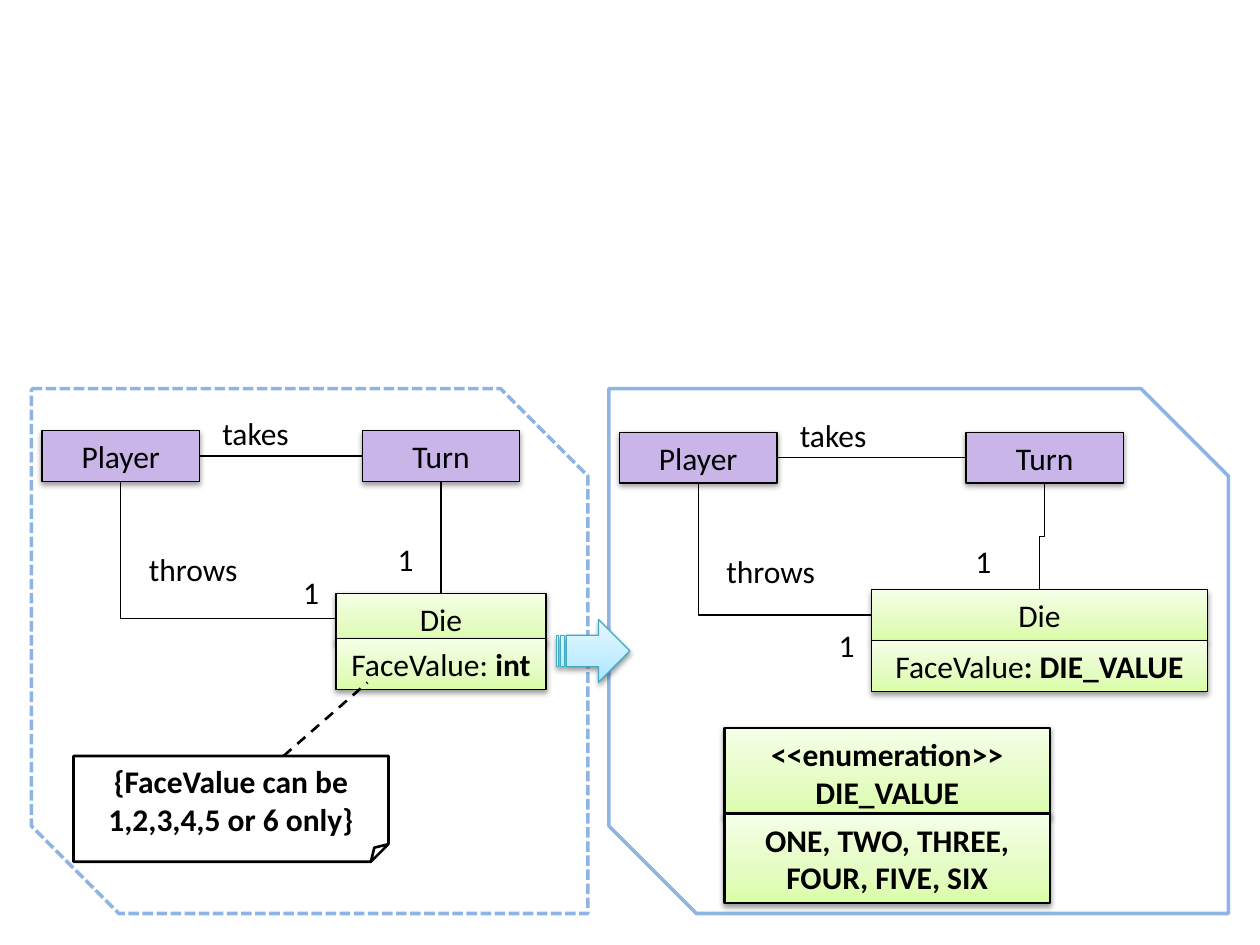
from lxml import etree
from pptx import Presentation
from pptx.dml.color import RGBColor
from pptx.enum.dml import MSO_LINE_DASH_STYLE as Dash
from pptx.enum.shapes import MSO_CONNECTOR as Link, MSO_SHAPE as Shape
from pptx.enum.text import MSO_ANCHOR as Anchor, PP_ALIGN as Align
from pptx.oxml import parse_xml
from pptx.oxml.ns import nsdecls, qn
from pptx.util import Pt

BLACK, PURPLE, WHITE = "000000", "C9B5E8", "FFFFFF"
PANEL_BLUE, ARROW_BLUE = "8EB4E3", "46AAC5"
GREEN_FADE = ("DAFDA7", "E4FCC2", "F5FFE7")
BLUE_FADE = ("A7E6FF", "C1EDFF", "E7F8FF")
ROW = 29  # height of a one-line class box
TOP, LEFT, BOTTOM, RIGHT = range(4)


def color(value):
    return RGBColor.from_string(value)


def style_line(line, value, width, dash=None):
    line.color.rgb = color(value)
    line.width = Pt(width)
    if dash:
        line.dash_style = dash


def fill_fade(shape, colors):
    """Three-stop gradient running from the bottom edge to the top."""
    stops = "".join(
        f'<a:gs pos="{place}"><a:srgbClr val="{value}"/></a:gs>'
        for place, value in zip((0, 35000, 100000), colors))
    shape.fill.background()
    empty = shape._element.spPr.find(qn("a:noFill"))
    empty.getparent().replace(empty, parse_xml(
        f'<a:gradFill {nsdecls("a")} rotWithShape="1"><a:gsLst>{stops}</a:gsLst>'
        '<a:lin ang="16200000" scaled="0"/></a:gradFill>'))


def add_shadow(shape):
    effects = shape._element.spPr.find(qn("a:effectLst"))
    effects.append(parse_xml(
        f'<a:outerShdw {nsdecls("a")} blurRad="40000" dist="20000" dir="5400000" '
        'rotWithShape="0"><a:srgbClr val="000000"><a:alpha val="38000"/>'
        '</a:srgbClr></a:outerShdw>'))


def write(para, spans):
    """Spans are (text, bold) pairs; None stands for a line break."""
    for item in spans:
        if item is None:
            para.add_line_break()
            continue
        span = para.add_run()
        span.text, span.font.bold = item
        span.font.name = "Calibri"
        span.font.size = Pt(18)
        span.font.color.rgb = color(BLACK)


def add_box(page, kind, box, fill, line, width, spans=(), dash=None, shadow=True):
    shape = page.shapes.add_shape(kind, *map(Pt, box))
    shape.shadow.inherit = False
    if fill is None:
        shape.fill.background()
    elif isinstance(fill, tuple):
        fill_fade(shape, fill)
    else:
        shape.fill.solid()
        shape.fill.fore_color.rgb = color(fill)
    style_line(shape.line, line, width, dash)
    if shadow:
        add_shadow(shape)
    if spans:
        frame = shape.text_frame
        frame.word_wrap = True
        frame.vertical_anchor = Anchor.MIDDLE
        para = frame.paragraphs[0]
        para.alignment = Align.CENTER
        write(para, spans)
    return shape


def add_label(page, text, x, y, width, indent=7.2):
    label = page.shapes.add_textbox(Pt(x), Pt(y), Pt(width), Pt(ROW))
    label.text_frame.word_wrap = True
    label.text_frame.margin_left = Pt(indent)
    write(label.text_frame.paragraphs[0], [(text, False)])


def add_link(page, kind, start, end, width=0.75, dash=None):
    link = page.shapes.add_connector(kind, *map(Pt, (*start, *end)))
    style_line(link.line, BLACK, width, dash)
    etree.SubElement(link._element.spPr, qn("a:effectLst"))
    return link


def join(page, first, first_side, second, second_side):
    link = add_link(page, Link.ELBOW, (0, 0), (0, 0))
    link.begin_connect(first, first_side)
    link.end_connect(second, second_side)
    return link


def add_upright_elbow(page, start, end):
    """Elbow that leaves and arrives vertically: a level one turned by 90 degrees."""
    mid_x, mid_y = ((a + b) / 2 for a, b in zip(start, end))
    level = [(mid_x + y - mid_y, mid_y - x + mid_x) for x, y in (start, end)]
    link = add_link(page, Link.ELBOW, *level)
    link._element.spPr.find(qn("a:xfrm")).set("rot", "5400000")


def add_classes(page, origin, turn_x, die_box, value_dy, value_spans, count_dy):
    """Player, Turn and Die; turn_x and die_box count from the Player's corner."""
    x, y = origin
    die_x, die_y, die_width = x + die_box[0], y + die_box[1], die_box[2]
    player = add_box(page, Shape.RECTANGLE, (x, y, 90, ROW), PURPLE, BLACK, 0.75,
                     [("Player", False)])
    die = add_box(page, Shape.RECTANGLE, (die_x, die_y, die_width, ROW),
                  GREEN_FADE, BLACK, 0.75, [("Die", False)])
    turn = add_box(page, Shape.RECTANGLE, (x + turn_x, y, 90, ROW), PURPLE, BLACK,
                   0.75, [("Turn", False)])
    # Associations
    join(page, player, RIGHT, turn, LEFT)
    add_upright_elbow(page, (die_x + die_width / 2, die_y), (x + turn_x + 45, y + ROW))
    add_box(page, Shape.RECTANGLE, (die_x, die_y + value_dy, die_width, ROW),
            GREEN_FADE, BLACK, 0.75, value_spans)
    throws = join(page, die, LEFT, player, BOTTOM)
    throws._element.spPr.find(qn("a:prstGeom")).set("prst", "bentConnector2")
    # Role names and counts
    add_label(page, "takes", x + 96, y - 13, 72)
    add_label(page, "throws", x + 54, y + 65, 84)
    add_label(page, "1", x + 192, y + 59, 30, 11.3)
    add_label(page, "1", die_x - 30, die_y + count_dy, 30, 11.3)


def add_panel(page, box, dash=None):
    add_box(page, Shape.SNIP_2_DIAG_RECTANGLE, box, WHITE, PANEL_BLUE, 2,
            dash=dash, shadow=False)


def add_constraint_side(page, box):
    x, y = box[:2]
    add_panel(page, box, Dash.SQUARE_DOT)
    add_classes(page, (x + 6, y + 24), 183, (168, 93, 120), 26,
                [("FaceValue: ", False), ("int", True)], -15)
    # Constraint note
    add_link(page, Link.STRAIGHT, (x + 144, y + 210), (x + 192, y + 168), 1.5, Dash.DASH)
    add_box(page, Shape.FOLDED_CORNER, (x + 24, y + 210, 180, 60.5), None, BLACK, 1.5,
            [("{FaceValue can be 1,2,3,4,5 or 6 only}", True)], shadow=False)


def add_enumeration_side(page, box):
    x, y = box[:2]
    add_panel(page, box)
    add_classes(page, (x + 6, y + 25), 198, (144, 90, 192), ROW,
                [("FaceValue", False), (": DIE_VALUE", True)], 17)
    # Enumeration class
    rows = ([("<<enumeration>>", True), None, ("DIE_VALUE", True)],
            [("ONE, TWO, THREE, FOUR, FIVE, SIX", True)])
    for number, spans in enumerate(rows):
        add_box(page, Shape.RECTANGLE, (x + 66, y + 194 + 49 * number, 186, 51),
                GREEN_FADE, BLACK, 1.5, spans)


def main():
    deck = Presentation()
    deck.slide_width, deck.slide_height = Pt(720), Pt(540)
    page = deck.slides.add_slide(deck.slide_layouts[6])
    add_constraint_side(page, (18, 222, 318, 300))
    add_enumeration_side(page, (348, 222, 354, 300))
    add_box(page, Shape.STRIPED_RIGHT_ARROW, (318, 354, 42, 36), BLUE_FADE,
            ARROW_BLUE, 0.75)
    deck.save("out.pptx")


if __name__ == "__main__":
    main()
